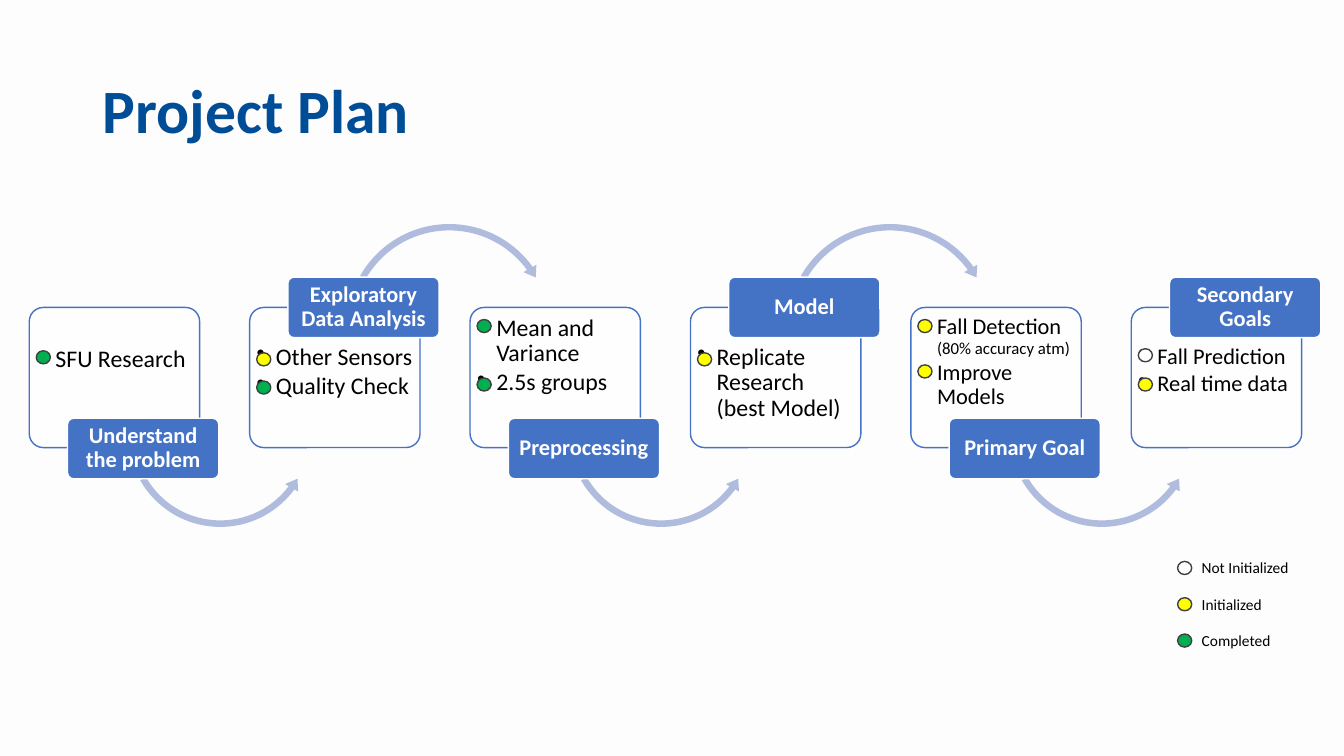
from dataclasses import dataclass
from typing import Any

from lxml.etree import SubElement
from pptx import Presentation
from pptx.dml.color import RGBColor
from pptx.enum.shapes import MSO_SHAPE
from pptx.enum.text import MSO_ANCHOR, MSO_AUTO_SIZE, PP_ALIGN
from pptx.oxml.ns import qn
from pptx.util import Inches, Pt

PAPER = RGBColor(0xFD, 0xFD, 0xFD)
NAVY = RGBColor(0x00, 0x4D, 0x97)
BLUE = RGBColor(0x44, 0x72, 0xC4)
PALE_BLUE = RGBColor(0xB0, 0xBC, 0xDE)
WHITE = RGBColor(0xFF, 0xFF, 0xFF)
BLACK = RGBColor(0, 0, 0)
GREY = RGBColor(0x40, 0x40, 0x40)
YELLOW = RGBColor(0xFF, 0xFF, 0x00)
GREEN = RGBColor(0x00, 0xB0, 0x50)

FONT = "Calibri"
FIRST_LEFT = 0.29
STEP_PITCH = (11.22 - FIRST_LEFT) / 5


@dataclass(frozen=True)
class Span:
    text: str
    size: int = 17


@dataclass(frozen=True)
class Task:
    spans: tuple[Span, ...]
    status: RGBColor
    dot_top: float


@dataclass(frozen=True)
class Step:
    name: str
    tasks: tuple[Task, ...]
    list_top: float


@dataclass(frozen=True)
class Arrow:
    kind: MSO_SHAPE
    offset: float
    top: float
    size: float
    adjustments: tuple[float, ...]


@dataclass(frozen=True)
class LegendEntry:
    label: str
    status: RGBColor


STEPS = (
    Step("Understand the problem", (Task((Span("SFU Research"),), GREEN, 3.48),), 3.4),
    Step("Exploratory Data Analysis", (
        Task((Span("Other Sensors"),), YELLOW, 3.5),
        Task((Span("Quality Check"),), GREEN, 3.78)), 3.38),
    Step("Preprocessing", (
        Task((Span("Mean and Variance"),), GREEN, 3.17),
        Task((Span("2.5s groups"),), GREEN, 3.75)), 3.09),
    Step("Model", (Task((Span("Replicate Research (best Model)"),), YELLOW, 3.5),), 3.38),
    Step("Primary Goal", (
        Task((Span("Fall Detection", 16), Span(" ", 15), Span("(80% accuracy atm)", 12)),
             YELLOW, 3.17),
        Task((Span("Improve Models", 16),), YELLOW, 3.62)), 3.09),
    Step("Secondary Goals", (
        Task((Span("Fall Prediction", 16),), WHITE, 3.46),
        Task((Span("Real time data", 16),), YELLOW, 3.75)), 3.38),
)
ARROWS = (
    Arrow(MSO_SHAPE.LEFT_CIRCULAR_ARROW, 0.94, 3.36, 1.91,
          (0.034, 4.188, 21.943, 90.245, 0.039)),
    Arrow(MSO_SHAPE.CIRCULAR_ARROW, 0.92, 2.18, 2.12,
          (0.03, 3.732, 194.513, 125.755, 0.035)),
)
LEGEND = (
    LegendEntry("Not Initialized", WHITE),
    LegendEntry("Initialized", YELLOW),
    LegendEntry("Completed", GREEN),
)


def apply_format(target: Any, values: dict[str, Any]) -> None:
    for name, value in values.items():
        setattr(target, name, value)


def set_insets(frame: Any, across: float, down: float) -> None:
    apply_format(frame, {
        "margin_left": Inches(across), "margin_right": Inches(across),
        "margin_top": Inches(down), "margin_bottom": Inches(down)})


def add_span(para: Any, text: str, size: int, color: RGBColor, bold: bool = False) -> None:
    span = para.add_run()
    span.text = text
    apply_format(span.font, {"name": FONT, "size": Pt(size), "bold": bold})
    span.font.color.rgb = color


def add_filled(page: Any, kind: MSO_SHAPE, place: tuple[float, ...],
               fill: RGBColor, line: RGBColor | None = None) -> Any:
    shape = page.shapes.add_shape(kind, *map(Inches, place))
    shape.shadow.inherit = False
    shape.fill.solid()
    shape.fill.fore_color.rgb = fill
    if line is None:
        shape.line.fill.background()
    else:
        shape.line.color.rgb = line
        shape.line.width = Pt(1)
    return shape


def add_dot(page: Any, left: float, top: float, status: RGBColor) -> None:
    add_filled(page, MSO_SHAPE.OVAL, (left, top, 0.14, 0.13), status, GREY)


def add_panel(page: Any, left: float) -> None:
    panel = add_filled(page, MSO_SHAPE.ROUNDED_RECTANGLE, (left, 3.05, 1.69, 1.39), WHITE, BLUE)
    panel.adjustments[0] = 0.1
    color = panel.fill._xPr.find(qn("a:solidFill"))[0]
    SubElement(color, qn("a:alpha")).set("val", "90000")


def add_task_list(page: Any, left: float, step: Step) -> None:
    box = page.shapes.add_textbox(*map(Inches, (left + 0.03, step.list_top, 1.63, 1.03)))
    frame = box.text_frame
    frame.word_wrap = True
    set_insets(frame, 0.04, 0.04)
    for index, task in enumerate(step.tasks):
        para = frame.add_paragraph() if index else frame.paragraphs[0]
        apply_format(para, {"line_spacing": 0.9, "space_after": Pt(2.5)})
        properties = para._p.get_or_add_pPr()
        properties.set("marL", str(Inches(0.19)))
        properties.set("indent", str(-Inches(0.19)))
        SubElement(properties, qn("a:buChar")).set("char", "•")
        for span in task.spans:
            add_span(para, span.text, span.size, BLACK)


def add_arrow(page: Any, left: float, arrow: Arrow) -> None:
    shape = add_filled(page, arrow.kind,
                       (left + arrow.offset, arrow.top, arrow.size, arrow.size), PALE_BLUE)
    for index, value in enumerate(arrow.adjustments):
        shape.adjustments[index] = value


def add_tag(page: Any, left: float, top: float, name: str) -> None:
    tag = add_filled(page, MSO_SHAPE.ROUNDED_RECTANGLE, (left + 0.38, top, 1.5, 0.6), BLUE, WHITE)
    tag.adjustments[0] = 0.1
    frame = tag.text_frame
    apply_format(frame, {"word_wrap": True, "vertical_anchor": MSO_ANCHOR.MIDDLE})
    set_insets(frame, 0.04, 0.04)
    para = frame.paragraphs[0]
    apply_format(para, {"alignment": PP_ALIGN.CENTER, "line_spacing": 0.9})
    add_span(para, name, 16, WHITE, bold=True)


def add_title(page: Any) -> None:
    title = page.shapes.title
    apply_format(title, {"left": Inches(0.92), "top": Inches(0.4),
                         "width": Inches(11.5), "height": Inches(1.45)})
    apply_format(title.text_frame, {"vertical_anchor": MSO_ANCHOR.MIDDLE,
                                    "auto_size": MSO_AUTO_SIZE.NONE})
    para = title.text_frame.paragraphs[0]
    apply_format(para, {"alignment": PP_ALIGN.LEFT, "line_spacing": 0.9})
    add_span(para, "Project Plan", 44, NAVY, bold=True)


def main() -> None:
    deck = Presentation()
    apply_format(deck, {"slide_width": Inches(13.33), "slide_height": Inches(7.5)})
    page = deck.slides.add_slide(deck.slide_layouts[5])
    page.background.fill.solid()
    page.background.fill.fore_color.rgb = PAPER
    add_title(page)

    for index, step in enumerate(STEPS):
        left = FIRST_LEFT + index * STEP_PITCH
        add_panel(page, left)
        add_task_list(page, left, step)
        if index < len(STEPS) - 1:
            add_arrow(page, left, ARROWS[index % 2])
        add_tag(page, left, 2.75 if index % 2 else 4.15, step.name)
        for task in step.tasks:
            add_dot(page, left + 0.07, task.dot_top, task.status)

    for index, entry in enumerate(LEGEND):
        top = 5.49 + index * 0.36
        add_dot(page, 11.68, top + 0.08, entry.status)
        box = page.shapes.add_textbox(*map(Inches, (11.82, top, 1.07, 0.29)))
        add_span(box.text_frame.paragraphs[0], entry.label, 11, BLACK)

    deck.save("out.pptx")


if __name__ == "__main__":
    main()
